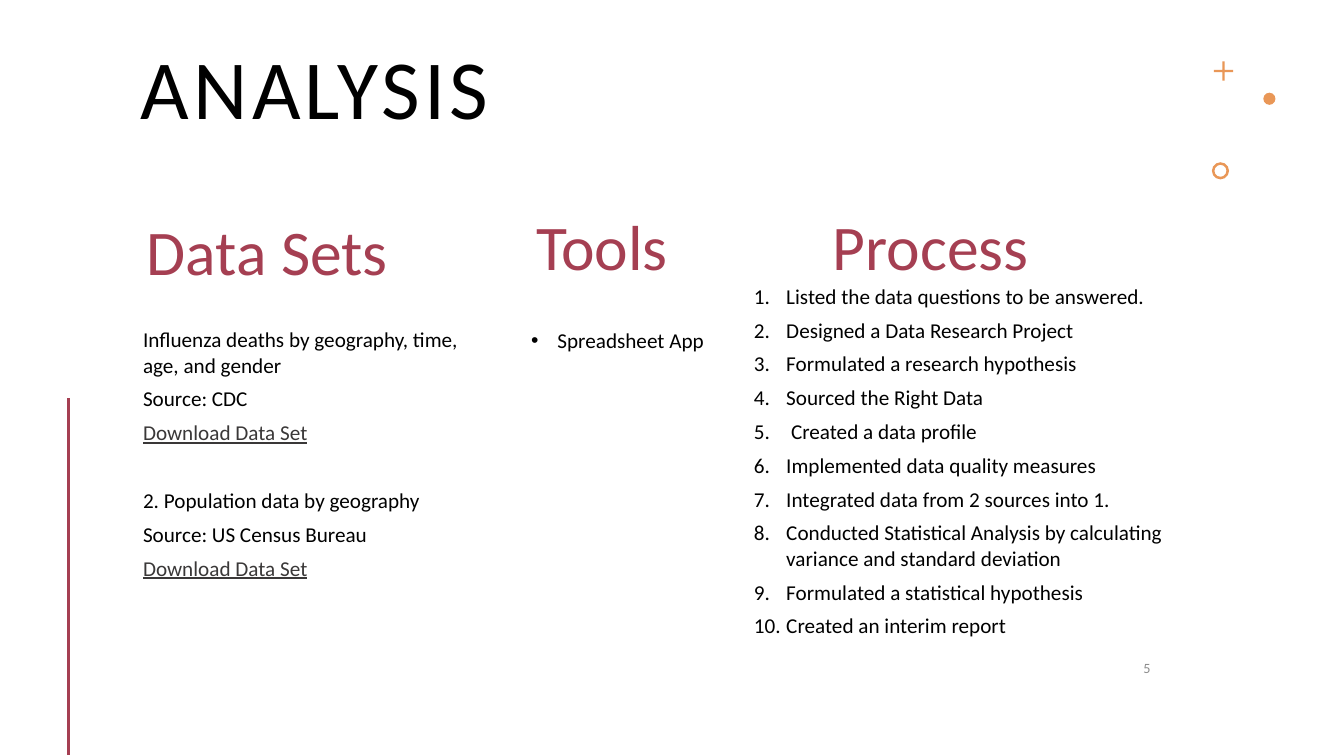
from lxml.etree import SubElement
from pptx import Presentation
from pptx.dml.color import RGBColor
from pptx.enum.shapes import MSO_CONNECTOR, MSO_SHAPE
from pptx.enum.text import MSO_ANCHOR, PP_ALIGN
from pptx.oxml.ns import qn
from pptx.util import Inches, Pt

FONT = "Calibri"
BLACK, GRAY, LINK = "000000", "8C8C8C", "3A3838"
RED, ORANGE = "A53F52", "E99757"
BODY_SIZE = 15.1
HEADING_SIZE = 45.4
LINE_GAP = 6
GROUP_GAP = 24.4

TITLE = "ANALYSIS"
PAGE_NUMBER = "5"
HEADINGS = [  # text, left, top, width
    ("Data Sets", 1.34, 2.05, 2.62),
    ("Tools", 5.21, 2, 1.52),
    ("Process", 8.15, 2, 2.16),
]
DOWNLOAD = "Download Data Set"
DATA_SETS = [
    ["Influenza deaths by geography, time, age, and gender", "Source: CDC", DOWNLOAD],
    ["2. Population data by geography", "Source: US Census Bureau", DOWNLOAD],
]
TOOLS = ["Spreadsheet App"]
PROCESS = [
    "Listed the data questions to be answered.",
    "Designed a Data Research Project",
    "Formulated a research hypothesis",
    "Sourced the Right Data",
    " Created a data profile",
    "Implemented data quality measures",
    "Integrated data from 2 sources into 1.",
    "Conducted Statistical Analysis by calculating variance and standard deviation",
    "Formulated a statistical hypothesis",
    "Created an interim report",
]
ORNAMENTS = [  # shape, left, top, size, adjustment
    (MSO_SHAPE.CROSS, 12.04, 0.61, 0.19, 0.44),
    (MSO_SHAPE.OVAL, 12.53, 0.92, 0.12, None),
    (MSO_SHAPE.DONUT, 12.02, 1.61, 0.17, 0.15),
]


def color(hex_code):
    return RGBColor.from_string(hex_code)


def add_frame(page, left, top, width, height, wrap=True):
    box = page.shapes.add_textbox(Inches(left), Inches(top), Inches(width), Inches(height))
    box.text_frame.word_wrap = wrap
    return box.text_frame


def style(para, size, hex_code, align=PP_ALIGN.LEFT):
    para.alignment = align
    para.space_after = Pt(LINE_GAP)
    para.font.name = FONT
    para.font.size = Pt(size)
    para.font.color.rgb = color(hex_code)


def next_paragraph(frame, index):
    return frame.add_paragraph() if index else frame.paragraphs[0]


def add_list(frame, items, indent, marker, **marker_attributes):
    for index, item in enumerate(items):
        para = next_paragraph(frame, index)
        para.text = item
        properties = para._p.get_or_add_pPr()
        properties.set("marL", str(Inches(indent)))
        properties.set("indent", str(-Inches(indent)))
        SubElement(properties, qn("a:buFont"), typeface="Arial" if marker == "a:buChar" else FONT)
        SubElement(properties, qn(marker), **marker_attributes)
        style(para, BODY_SIZE, BLACK)


def add_title(page):
    para = add_frame(page, 1.3, 0.42, 10.23, 1.31).paragraphs[0]
    span = para.add_run()
    span.text = TITLE
    span._r.get_or_add_rPr().set("spc", "300")
    style(para, 60, BLACK)
    para.line_spacing = 0.9


def add_decoration(page):
    for kind, left, top, size, adjustment in ORNAMENTS:
        shape = page.shapes.add_shape(kind, Inches(left), Inches(top), Inches(size), Inches(size))
        shape.shadow.inherit = False
        shape.fill.solid()
        shape.fill.fore_color.rgb = color(ORANGE)
        shape.line.fill.background()
        if adjustment:
            shape.adjustments[0] = adjustment
    rule = page.shapes.add_connector(
        MSO_CONNECTOR.STRAIGHT, Inches(0.68), Inches(3.95), Inches(0.68), Inches(7.49))
    rule.line.color.rgb = color(RED)
    rule.line.width = Pt(2)
    SubElement(rule._element.spPr, qn("a:effectLst"))


def add_data_sets(page):
    frame = add_frame(page, 1.32, 3.19, 3.69, 2.64)
    lines = [(group, row, text) for group, rows in enumerate(DATA_SETS)
             for row, text in enumerate(rows)]
    for index, (group, row, text) in enumerate(lines):
        para = next_paragraph(frame, index)
        para.text = text
        is_link = text == DOWNLOAD
        style(para, BODY_SIZE, LINK if is_link else BLACK)
        if is_link:
            para.font.underline = True
        if group and row == 0:
            para.space_before = Pt(GROUP_GAP)


def main():
    deck = Presentation()
    deck.slide_width, deck.slide_height = Inches(13.33), Inches(7.5)
    page = deck.slides.add_slide(deck.slide_layouts[6])

    add_title(page)
    add_decoration(page)
    for text, left, top, width in HEADINGS:
        para = add_frame(page, left, top, width, 0.86, wrap=False).paragraphs[0]
        para.text = text
        style(para, HEADING_SIZE, RED, PP_ALIGN.CENTER)
    add_data_sets(page)
    add_list(add_frame(page, 5.17, 3.2, 2.08, 1.08), TOOLS, 0.26, "a:buChar", char="•")
    add_list(add_frame(page, 7.38, 2.76, 4.26, 3.66), PROCESS, 0.32,
             "a:buAutoNum", type="arabicPeriod")

    number = add_frame(page, 11.1, 6.46, 0.41, 0.34)
    number.vertical_anchor = MSO_ANCHOR.MIDDLE
    number.paragraphs[0].text = PAGE_NUMBER
    style(number.paragraphs[0], 10.1, GRAY, PP_ALIGN.RIGHT)

    deck.save("out.pptx")


if __name__ == "__main__":
    main()
